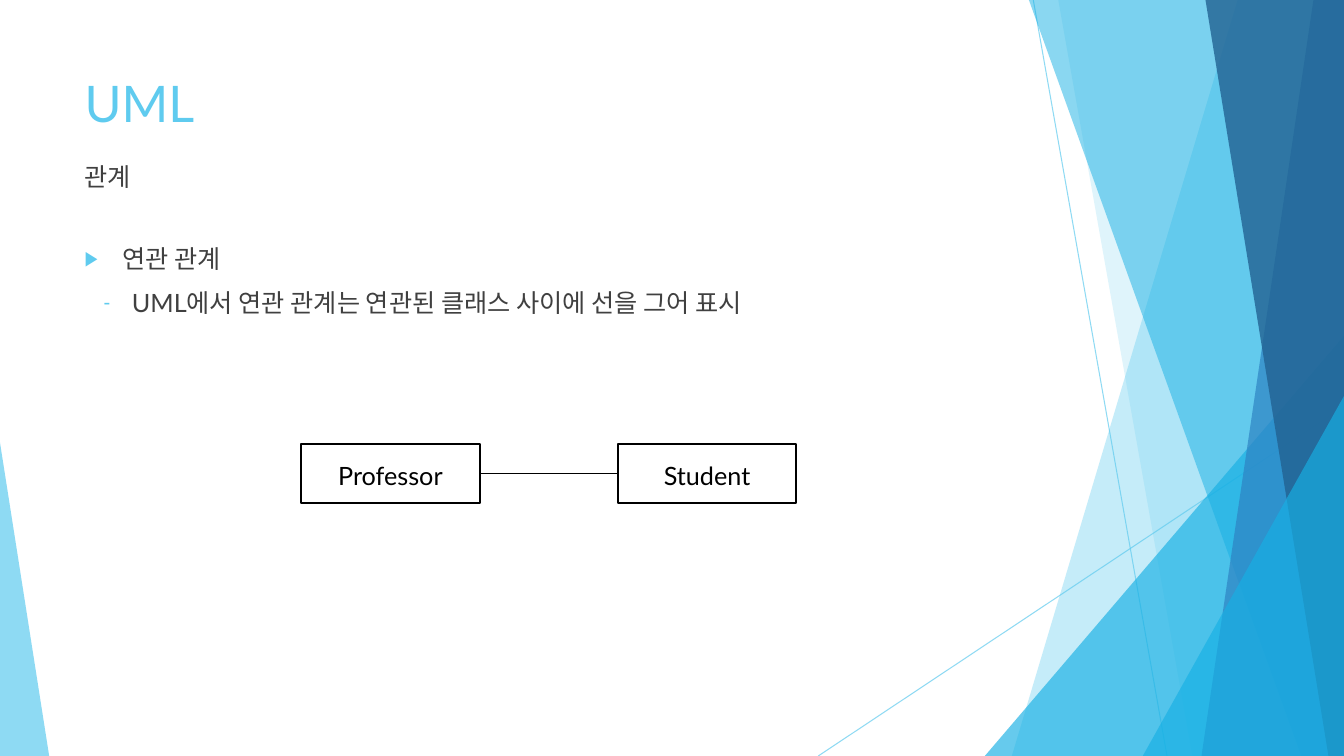
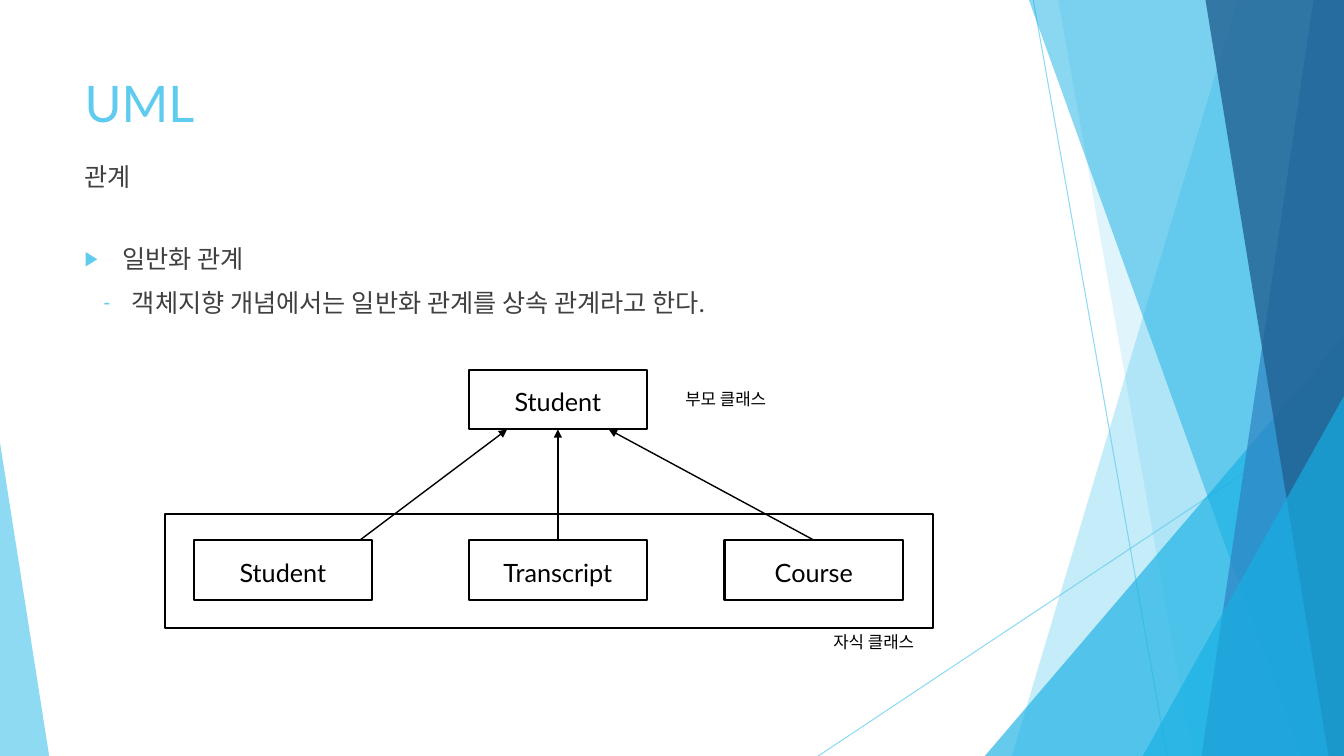
from dataclasses import dataclass
from typing import Optional, Union

from pptx import Presentation
from pptx.dml.color import RGBColor
from pptx.enum.shapes import MSO_CONNECTOR, MSO_SHAPE
from pptx.enum.text import MSO_ANCHOR, MSO_AUTO_SIZE, PP_ALIGN
from pptx.oxml.ns import qn
from pptx.shapes.autoshape import Shape
from pptx.shapes.connector import Connector
from pptx.slide import Slide
from pptx.text.text import TextFrame, _Paragraph
from pptx.util import Cm, Pt
from lxml import etree

STRAIGHT = MSO_CONNECTOR.STRAIGHT
RECTANGLE, TRIANGLE = MSO_SHAPE.RECTANGLE, MSO_SHAPE.ISOSCELES_TRIANGLE
TOP, MIDDLE = MSO_ANCHOR.TOP, MSO_ANCHOR.MIDDLE
LEFT, CENTER = PP_ALIGN.LEFT, PP_ALIGN.CENTER
NO_AUTOFIT = MSO_AUTO_SIZE.NONE

SKY = RGBColor(0x5F, 0xCB, 0xEF)
CYAN = RGBColor(0x17, 0xB0, 0xE4)
BLUE = RGBColor(0x2E, 0x83, 0xC3)
NAVY = RGBColor(0x22, 0x62, 0x92)
GRAY = RGBColor(0x40, 0x40, 0x40)
BLACK = RGBColor(0, 0, 0)
WHITE = RGBColor(0xFF, 0xFF, 0xFF)

FONT = "Lato"
PAGE_WIDTH, PAGE_HEIGHT = 33.87, 19.05
TEXT_LEFT, TEXT_WIDTH = 1.88, 23.88
NODE_WIDTH, NODE_HEIGHT = 4.5, 1.5
# Connection sites of a rectangle
SITE_TOP, SITE_LEFT, SITE_BOTTOM, SITE_RIGHT = range(4)

Point = tuple[float, float]


@dataclass(frozen=True)
class Panel:
    """Full-height area from a slanted left edge to the right page edge."""
    top_x: float
    bottom_x: float
    color: RGBColor
    opacity: int
    right_x: float = PAGE_WIDTH


@dataclass(frozen=True)
class Wedge:
    """Triangle that stands on the bottom page edge."""
    left: float
    top: float
    width: float
    apex: float
    color: RGBColor
    opacity: int


@dataclass(frozen=True)
class Bullet:
    mark: str
    margin: float
    hanging: float
    space_before: float


RAYS: list[tuple[Point, Point]] = [
    ((26.04, 0), (29.41, PAGE_HEIGHT)),
    ((PAGE_WIDTH, 10.24), (20.62, PAGE_HEIGHT)),
]
BANDS: list[Union[Panel, Wedge]] = [
    Panel(31.19, 25.5, SKY, 36),
    Panel(26.67, 30.05, SKY, 20),
    Wedge(24.82, 8.46, 9.05, 1, CYAN, 66),
    Panel(25.93, 32.79, CYAN, 50),
    Panel(33.1, 30.28, BLUE, 70),
    Panel(30.38, 33.48, NAVY, 80),
    Wedge(28.8, 9.98, 5.07, 1, CYAN, 66),
    Wedge(0, 11.15, 1.24, 0, SKY, 70),
]
BULLETS = [Bullet("▶", 0.95, 0.95, 0), Bullet("-", 1.19, 0.71, 10)]


def set_opacity(shape: Union[Shape, Connector], percent: int) -> None:
    for color in shape._element.spPr.iter(qn("a:srgbClr")):
        etree.SubElement(color, qn("a:alpha"), val=str(percent * 1000))


def write(para: _Paragraph, text: str, *, size: float, color: RGBColor = BLACK,
          align: PP_ALIGN = LEFT, spacing: float = 1, before: float = 0) -> None:
    para.alignment = align
    para.line_spacing = spacing
    para.space_before = Pt(before)
    span = para.add_run()
    span.text = text
    span.font.name = FONT
    span.font.size = Pt(size)
    span.font.color.rgb = color


def add_bullet(para: _Paragraph, bullet: Bullet) -> None:
    properties = para._p.get_or_add_pPr()
    properties.set("marL", str(Cm(bullet.margin)))
    properties.set("indent", str(-Cm(bullet.hanging)))
    color = etree.SubElement(properties, qn("a:buClr"))
    etree.SubElement(color, qn("a:srgbClr"), val=str(SKY))
    etree.SubElement(properties, qn("a:buSzPct"), val="80000")
    etree.SubElement(properties, qn("a:buChar"), char=bullet.mark)


def place(shape: Shape, top: float, height: float) -> TextFrame:
    """Put a text placeholder in the text column."""
    shape.left, shape.top = Cm(TEXT_LEFT), Cm(top)
    shape.width, shape.height = Cm(TEXT_WIDTH), Cm(height)
    frame = shape.text_frame
    frame.auto_size = NO_AUTOFIT
    frame.vertical_anchor = TOP
    frame.word_wrap = True
    return frame


def draw_line(page: Slide, start: Point, end: Point, *, color: RGBColor = BLACK,
              weight: float = 1, arrow: bool = False) -> Connector:
    line = page.shapes.add_connector(STRAIGHT, *(Cm(value) for value in start + end))
    line.line.color.rgb = color
    line.line.width = Pt(weight)
    properties = line._element.spPr
    if arrow:
        etree.SubElement(properties.find(qn("a:ln")), qn("a:tailEnd"), type="triangle")
    etree.SubElement(properties, qn("a:effectLst"))
    return line


def draw_band(page: Slide, band: Union[Panel, Wedge]) -> None:
    if isinstance(band, Panel):
        outline = page.shapes.build_freeform(Cm(band.top_x), 0)
        corners = [(band.right_x, 0), (band.right_x, PAGE_HEIGHT),
                   (band.bottom_x, PAGE_HEIGHT)]
        outline.add_line_segments([(Cm(x), Cm(y)) for x, y in corners], close=True)
        shape = outline.convert_to_shape()
    else:
        shape = page.shapes.add_shape(TRIANGLE, Cm(band.left), Cm(band.top),
                                      Cm(band.width), Cm(PAGE_HEIGHT - band.top))
        shape.adjustments[0] = band.apex
    shape.shadow.inherit = False
    shape.fill.solid()
    shape.fill.fore_color.rgb = band.color
    shape.line.fill.background()
    set_opacity(shape, band.opacity)


def draw_box(page: Slide, left: float, top: float, width: float = NODE_WIDTH,
             height: float = NODE_HEIGHT, text: Optional[str] = None) -> Shape:
    box = page.shapes.add_shape(RECTANGLE, Cm(left), Cm(top), Cm(width), Cm(height))
    box.shadow.inherit = False
    box.fill.solid()
    box.fill.fore_color.rgb = WHITE
    box.line.color.rgb = BLACK
    box.line.width = Pt(1.5)
    if text:
        box.text_frame.vertical_anchor = MIDDLE
        write(box.text_frame.paragraphs[0], text, size=18, align=CENTER, spacing=1.15)
    return box


def draw_text(page: Slide, text: str, left: float, top: float, width: float,
              height: float, *, size: float, color: RGBColor = BLACK,
              wrap: bool = False) -> None:
    box = page.shapes.add_textbox(Cm(left), Cm(top), Cm(width), Cm(height))
    box.text_frame.word_wrap = wrap
    write(box.text_frame.paragraphs[0], text, size=size, color=color)


def add_page(deck: Presentation, items: list[str]) -> Slide:
    """Add a slide with the shared title, subtitle, list and bands."""
    page = deck.slides.add_slide(deck.slide_layouts[1])
    for start, end in RAYS:
        set_opacity(draw_line(page, start, end, color=SKY, weight=0.75), 70)
    for band in BANDS:
        draw_band(page, band)

    title = place(page.shapes.title, 1.7, 1.93)
    write(title.paragraphs[0], "UML", size=36, color=SKY)
    draw_text(page, "관계", TEXT_LEFT, 3.94, TEXT_WIDTH, 1.73,
              size=18, color=GRAY, wrap=True)

    body = place(page.placeholders[1], 6, 2.36)
    for index, (item, bullet) in enumerate(zip(items, BULLETS)):
        para = body.add_paragraph() if index else body.paragraphs[0]
        add_bullet(para, bullet)
        write(para, item, size=18, color=GRAY, before=bullet.space_before)
    return page


def add_association(deck: Presentation) -> None:
    page = add_page(deck, ["연관 관계", "UML에서 연관 관계는 연관된 클래스 사이에 선을 그어 표시"])
    top = 11.18
    professor = draw_box(page, 7.59, top, text="Professor")
    student = draw_box(page, 15.57, top, text="Student")
    middle = top + NODE_HEIGHT / 2
    link = draw_line(page, (7.59 + NODE_WIDTH, middle), (15.57, middle))
    link.begin_connect(professor, SITE_RIGHT)
    link.end_connect(student, SITE_LEFT)


def add_generalization(deck: Presentation) -> None:
    page = add_page(deck, ["일반화 관계", "객체지향 개념에서는 일반화 관계를 상속 관계라고 한다."])
    parent_left, parent_top, child_top = 11.81, 9.32, 13.61
    parent_bottom = parent_top + NODE_HEIGHT

    # Parent class, and child classes in their frame
    draw_box(page, 4.17, 12.95, 19.35, 2.87)
    parent = draw_box(page, parent_left, parent_top, text="Student")
    draw_box(page, 4.88, child_top, text="Student")
    transcript = draw_box(page, parent_left, child_top, text="Transcript")
    course = draw_box(page, 18.26, child_top, text="Course")

    # Arrows from the children to the parent
    center = parent_left + NODE_WIDTH / 2
    draw_line(page, (9.07, child_top), (12.78, parent_bottom), arrow=True)
    upright = draw_line(page, (center, child_top), (center, parent_bottom), arrow=True)
    upright.begin_connect(transcript, SITE_TOP)
    upright.end_connect(parent, SITE_BOTTOM)
    slanted = draw_line(page, (20.51, child_top), (15.34, parent_bottom), arrow=True)
    slanted.begin_connect(course, SITE_TOP)

    for text, left, top in [("부모 클래스", 17.02, 9.68), ("자식 클래스", 20.75, 15.8)]:
        draw_text(page, text, left, top, 2.77, 0.76, size=12)


def main() -> None:
    deck = Presentation()
    deck.slide_width, deck.slide_height = Cm(PAGE_WIDTH), Cm(PAGE_HEIGHT)
    add_association(deck)
    add_generalization(deck)
    deck.save("out.pptx")


if __name__ == "__main__":
    main()
